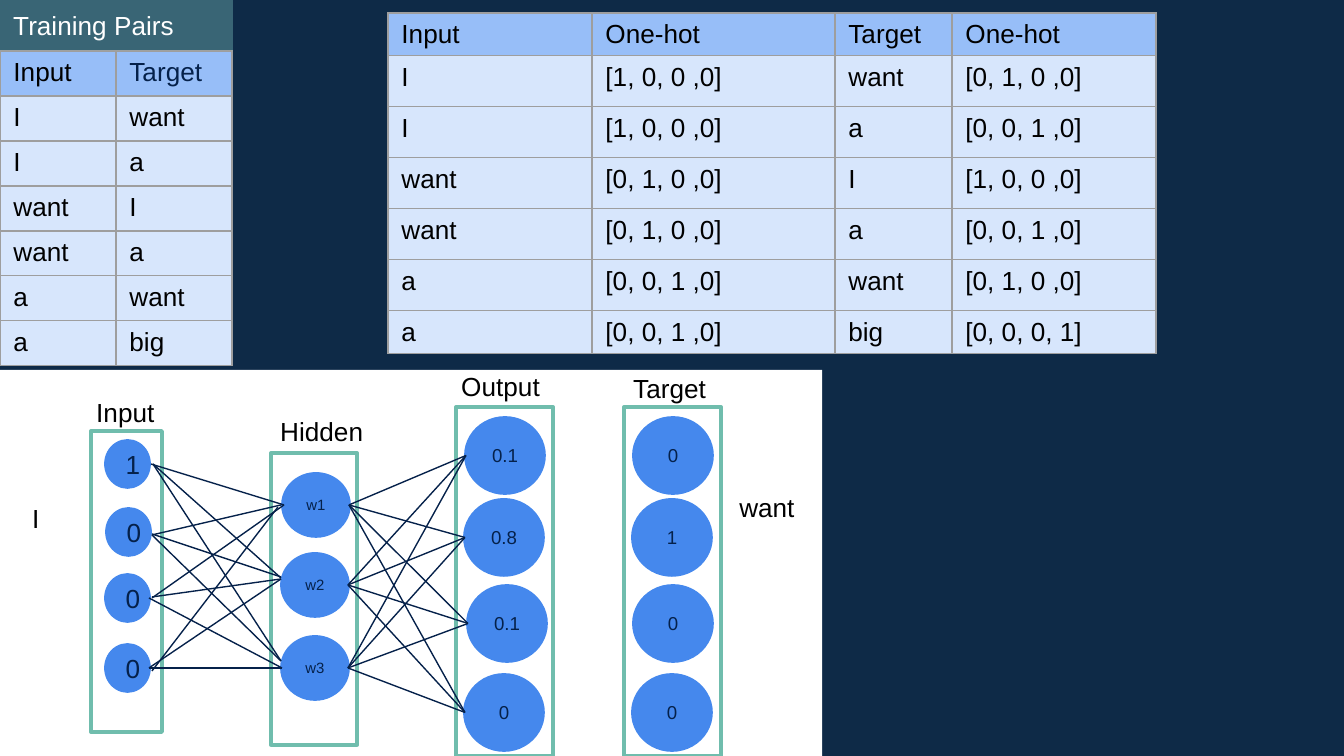
from itertools import product
from pptx import Presentation, util as u
from pptx.dml.color import RGBColor
from pptx.enum import shapes, text
from pptx.oxml import ns
from lxml import etree

PX = 914400 / 134.4
HUE = dict(back="0E2A47", head="97BEF8", cell="D7E6FC", edge="9E9E9E", title="AAFFEE",
           white="FFFFFF", black="000000", navy="05214A", node="4588ED", box="70BDAD")

pairs = [("I", "want"), ("I", "a"), ("want", "I"), ("want", "a"), ("a", "want"), ("a", "big")]
codes = {"I": "[1, 0, 0 ,0]", "want": "[0, 1, 0 ,0]", "a": "[0, 0, 1 ,0]", "big": "[0, 0, 0, 1]"}
hots = [("Input", "One-hot", "Target", "One-hot")]
hots += [(a, codes[a], b, codes[b]) for a, b in pairs]

boxes = [(91, 431, 71, 301), (271, 453, 86, 292), (456, 407, 97, 349), (624, 407, 97, 349)]
labels = [("Input", 83, 390, 89), ("Output", 448, 364, 117), ("Hidden", 267, 409, 120),
          ("I", 19, 496, 60), ("want", 726, 485, 117), ("Target", 620, 366, 117)]
layers = {
    "input": (43, 46, 14, [("1", 106, 441), ("0", 107, 509), ("0", 106, 575), ("0", 106, 645)]),
    "hidden": (66, 62, 8, [("w1", 283, 474), ("w2", 282, 554), ("w3", 282, 637)]),
    "output": (78, 75, 10, [("0.1", 466, 418), ("0.8", 465, 500), ("0.1", 468, 586), ("0", 465, 675)]),
    "target": (78, 75, 10, [("0", 634, 418), ("1", 633, 500), ("0", 634, 586), ("0", 633, 675)]),
}
links = [
    (151, 464, 284, 505), (153, 464, 281, 578), (153, 464, 281, 661),
    (152, 535, 281, 505), (152, 534, 281, 577), (152, 535, 281, 661),
    (152, 598, 284, 505), (152, 597, 281, 579), (149, 598, 282, 668),
    (152, 671, 278, 507), (149, 668, 281, 579), (149, 668, 282, 668),
]


def emu(*vals):
    return [u.Emu(round(v * PX)) for v in vals]


def rgb(name):
    return RGBColor.from_string(HUE[name])


def paint(fill, name):
    fill.solid()
    fill.fore_color.rgb = rgb(name)


def write(frame, words, size=14, hue="black", align=None):
    para = frame.paragraphs[0]
    para.alignment = align
    run = para.add_run()
    run.text = words
    for key, val in dict(name="Arial", size=u.Pt(size)).items():
        setattr(run.font, key, val)
    run.font.color.rgb = rgb(hue)


def shape(kind, spot, fill=None, line=None):
    item = deck.add_shape(kind, *emu(*spot))
    item.shadow.inherit = False
    if fill:
        paint(item.fill, fill)
    else:
        item.fill.background()
    if line:
        item.line.color.rgb = rgb(line)
        item.line.width = u.Pt(2)
    else:
        item.line.fill.background()
    return item


def border(cell):
    props = cell._tc.get_or_add_tcPr()
    for spot, side in enumerate(("lnL", "lnR", "lnT", "lnB")):
        edge = etree.Element(ns.qn("a:" + side), w=str(u.Pt(0.75)))
        solid = etree.SubElement(edge, ns.qn("a:solidFill"))
        etree.SubElement(solid, ns.qn("a:srgbClr"), val=HUE["edge"])
        props.insert(spot, edge)


def table(left, top, cols, highs, rows, hues=None):
    grid = deck.add_table(len(rows), len(cols), *emu(left, top, sum(cols), sum(highs))).table
    grid.first_row = grid.horz_banding = False
    for col, wide in zip(grid.columns, emu(*cols)):
        col.width = wide
    for row, high in zip(grid.rows, emu(*highs)):
        row.height = high
    for r, c in product(range(len(rows)), range(len(cols))):
        cell = grid.cell(r, c)
        paint(cell.fill, "cell" if r else "head")
        border(cell)
        write(cell.text_frame, rows[r][c], hue=(hues or {}).get((r, c), "black"))


def link(*ends):
    line = deck.add_connector(shapes.MSO_CONNECTOR.STRAIGHT, *emu(*ends))
    line.line.color.rgb = rgb("navy")
    line.line.width = u.Pt(0.75)
    etree.SubElement(line._element.spPr, ns.qn("a:effectLst"))


show = Presentation()
show.slide_width, show.slide_height = emu(1344, 756)
slide = show.slides.add_slide(show.slide_layouts[6])
paint(slide.background.fill, "back")
deck = slide.shapes
KIND = shapes.MSO_SHAPE

table(388, 13, (204, 243, 117, 204), (42, 51, 51, 51, 51, 51, 42), hots)
table(0, 51, (116, 116), [45] * 7, [("Input", "Target")] + pairs, {(0, 1): "navy"})

title = shape(KIND.SNIP_1_RECTANGLE, (0, 0, 233, 50), "title")
title.adjustments[0] = 0
tint = title._element.spPr.find(".//" + ns.qn("a:srgbClr"))
etree.SubElement(tint, ns.qn("a:alpha"), val="28000")
frame = title.text_frame
for side in ("left", "right", "top", "bottom"):
    setattr(frame, "margin_" + side, u.Inches(0.1))
frame.vertical_anchor = text.MSO_ANCHOR.MIDDLE
write(frame, "Training Pairs", hue="white", align=text.PP_ALIGN.LEFT)

panel = shape(KIND.SNIP_2_DIAG_RECTANGLE, (0, 370, 822, 387), "white")
for i in range(2):
    panel.adjustments[i] = 0

for spot in boxes:
    shape(KIND.RECTANGLE, spot, line="box")

for words, left, top, wide in labels:
    frame = deck.add_textbox(*emu(left, top, wide, 46)).text_frame
    frame.word_wrap = True
    write(frame, words)

for wide, high, size, nodes in layers.values():
    for words, left, top in nodes:
        node = shape(KIND.OVAL, (left, top, wide, high), "node", "node")
        node.text_frame.vertical_anchor = text.MSO_ANCHOR.MIDDLE
        write(node.text_frame, words, size, "navy", text.PP_ALIGN.CENTER)

for ends in links:
    link(*ends)

wide, high, _, starts = layers["hidden"]
_, tall, _, stops = layers["output"]
for (_, x, y), (_, left, top) in product(starts, stops):
    link(x + wide, y + high / 2, left, top + tall / 2)

show.save("out.pptx")
